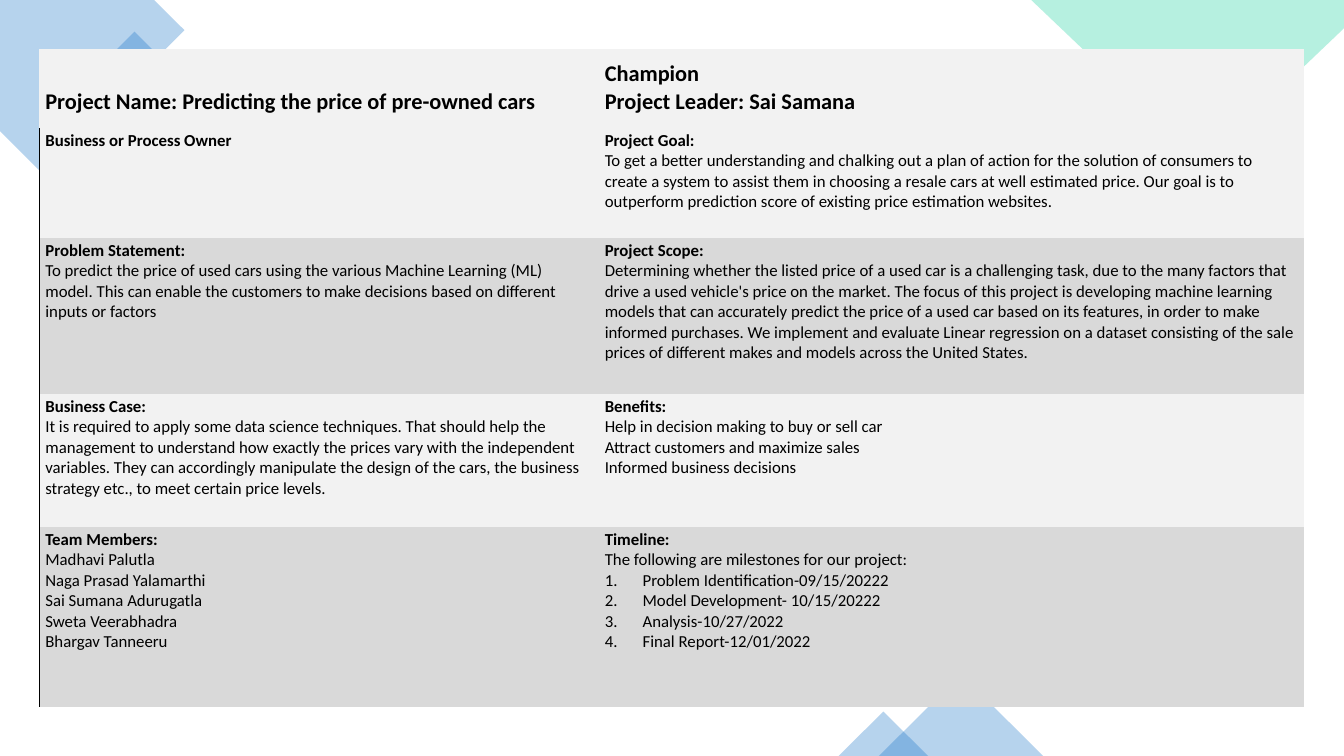
from lxml.etree import SubElement, Element
from pptx import Presentation
from pptx.dml.color import RGBColor
from pptx.enum.shapes import MSO_SHAPE as Preset
from pptx.enum.text import MSO_ANCHOR as Anchor
from pptx.oxml.ns import qn
from pptx.util import Pt

COLORS = {"blue": "0F6FC6", "green": "10CF9B", "light": "F2F2F2", "dark": "D9D9D9", "ink": "000000"}

HEADER = (
    ["Project Name: Predicting the price of pre-owned cars"],
    ["Champion", "Project Leader: Sai Samana"],
)
SECTIONS = [
    (
        ["Business or Process Owner"],
        ["Project Goal:",
         "To get a better understanding and chalking out a plan of action for the solution of consumers to "
         "create a system to assist them in choosing a resale cars at well estimated price. Our goal is to "
         "outperform prediction score of existing price estimation websites."],
    ),
    (
        ["Problem Statement:",
         "To predict the price of used cars using the various Machine Learning (ML) model. This can enable "
         "the customers to make decisions based on different inputs or factors"],
        ["Project Scope:",
         "Determining whether the listed price of a used car is a challenging task, due to the many factors "
         "that drive a used vehicle's price on the market. The focus of this project is developing machine "
         "learning models that can accurately predict the price of a used car based on its features, in order "
         "to make informed purchases. We implement and evaluate Linear regression on a dataset consisting of "
         "the sale prices of different makes and models across the United States."],
    ),
    (
        ["Business Case:",
         "It is required to apply some data science techniques. That should help the management to understand "
         "how exactly the prices vary with the independent variables. They can accordingly manipulate the "
         "design of the cars, the business strategy etc., to meet certain price levels."],
        ["Benefits:", "Help in decision making to buy or sell car",
         "Attract customers and maximize sales", "Informed business decisions"],
    ),
    (
        ["Team Members:", "Madhavi Palutla", "Naga Prasad Yalamarthi", "Sai Sumana Adurugatla",
         "Sweta Veerabhadra", "Bhargav Tanneeru"],
        ["Timeline:", "The following are milestones for our project:",
         "Problem Identification-09/15/20222", "Model Development- 10/15/20222",
         "Analysis-10/27/2022", "Final Report-12/01/2022"],
    ),
]
MILESTONES = SECTIONS[-1][1][2:]

TABLE_LEFT, TABLE_TOP = 28, 35.2
COLUMN_WIDTHS = [399.6, 504]
ROW_HEIGHTS = [56.4, 78.5, 111.6, 95, 128]
NO_GRID_STYLE = "{2D5ABB26-0587-4C30-8999-92F81FD0307C}"

CORNERS = [
    ("blue", [(110.2, 0), (0, 0), (0, 93.6), (29.5, 123.1), (131.8, 21.6)]),
    ("green", [(960, 0), (736.6, 0), (859, 116.6), (960, 20.2)]),
]
ACCENTS = [
    (Preset.RECTANGLE, "blue", 70.6, 33.1, 51, 51, 315),
    (Preset.RECTANGLE, "green", 790.6, 51.8, 54, 54, 315),
    (Preset.ISOSCELES_TRIANGLE, "blue", 627.8, 481.7, 117.4, 58.3, 0),
    (Preset.ISOSCELES_TRIANGLE, "blue", 599, 508.3, 64, 31.7, 0),
]


def rgb(name):
    return RGBColor.from_string(COLORS[name])


def tint(shape, color):
    shape.shadow.inherit = False
    shape.line.fill.background()
    shape.fill.solid()
    shape.fill.fore_color.rgb = rgb(color)
    color_element = shape._element.spPr.find(qn("a:solidFill"))[0]
    SubElement(color_element, qn("a:alpha"), val="30000")


def add_corner(slide, color, points):
    points = [(Pt(x), Pt(y)) for x, y in points]
    builder = slide.shapes.build_freeform(*points[0])
    builder.add_line_segments(points[1:], close=True)
    tint(builder.convert_to_shape(), color)


def add_accent(slide, preset, color, left, top, width, height, rotation):
    shape = slide.shapes.add_shape(preset, Pt(left), Pt(top), Pt(width), Pt(height))
    shape.rotation = rotation
    tint(shape, color)


def add_left_border(cell):
    line = Element(qn("a:lnL"), w=str(Pt(1)))
    fill = SubElement(line, qn("a:solidFill"))
    SubElement(fill, qn("a:srgbClr"), val=COLORS["ink"])
    cell._tc.get_or_add_tcPr().insert(0, line)


def number(paragraph):
    properties = paragraph._p.get_or_add_pPr()
    properties.set("marL", str(Pt(27)))
    properties.set("indent", str(-Pt(27)))
    properties.insert(0, Element(qn("a:buAutoNum"), type="arabicPeriod"))


def fill_cell(cell, lines, color, is_header):
    cell.margin_left, cell.margin_top = Pt(4.4), Pt(1.5)
    cell.margin_right, cell.margin_bottom = Pt(6.5), Pt(9.4)
    cell.vertical_anchor = Anchor.BOTTOM if is_header else Anchor.TOP
    cell.fill.solid()
    cell.fill.fore_color.rgb = rgb(color)
    frame = cell.text_frame
    frame.text = "\n".join(lines)
    for index, paragraph in enumerate(frame.paragraphs):
        font = paragraph.font
        font.name = "Calibri"
        font.size = Pt(16 if is_header else 12)
        font.bold = is_header or index == 0
        font.color.rgb = rgb("ink")
        if paragraph.text in MILESTONES:
            number(paragraph)


def add_charter(slide):
    rows = [HEADER, *SECTIONS]
    frame = slide.shapes.add_table(
        len(rows), len(COLUMN_WIDTHS), Pt(TABLE_LEFT), Pt(TABLE_TOP),
        Pt(sum(COLUMN_WIDTHS)), Pt(sum(ROW_HEIGHTS)))
    table = frame.table
    table.first_row = table.horz_banding = False
    table._tbl.tblPr.find(qn("a:tableStyleId")).text = NO_GRID_STYLE
    for column, width in zip(table.columns, COLUMN_WIDTHS):
        column.width = Pt(width)
    for row, height in zip(table.rows, ROW_HEIGHTS):
        row.height = Pt(height)
    for row_index, row in enumerate(rows):
        is_header = row_index == 0
        color = "dark" if row_index and row_index % 2 == 0 else "light"
        for column_index, lines in enumerate(row):
            fill_cell(table.cell(row_index, column_index), lines, color, is_header)
        if not is_header:
            add_left_border(table.cell(row_index, 0))


def main():
    presentation = Presentation()
    presentation.slide_width, presentation.slide_height = Pt(960), Pt(540)
    slide = presentation.slides.add_slide(presentation.slide_layouts[6])
    for corner in CORNERS:
        add_corner(slide, *corner)
    for accent in ACCENTS:
        add_accent(slide, *accent)
    add_charter(slide)
    presentation.save("out.pptx")


if __name__ == "__main__":
    main()
